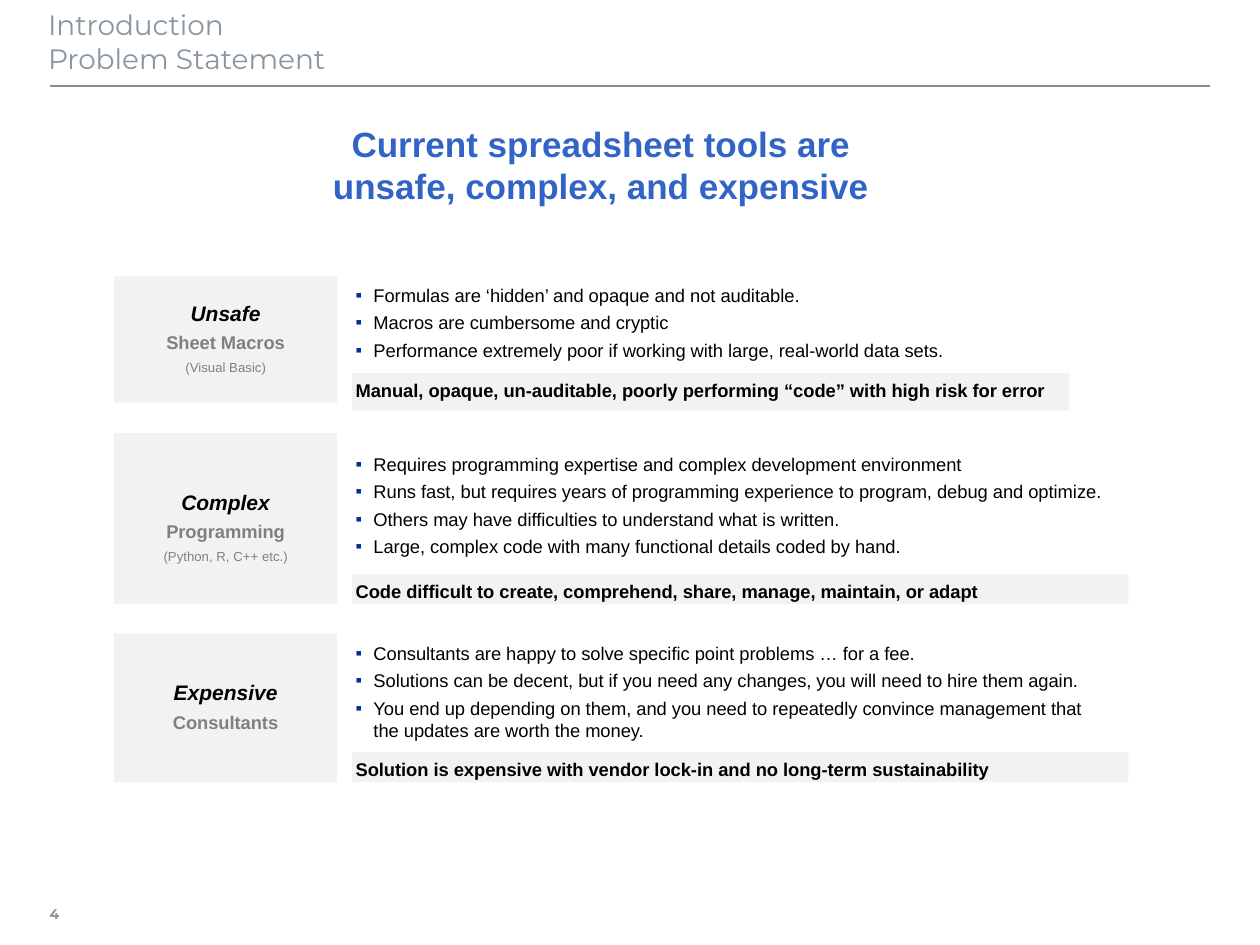
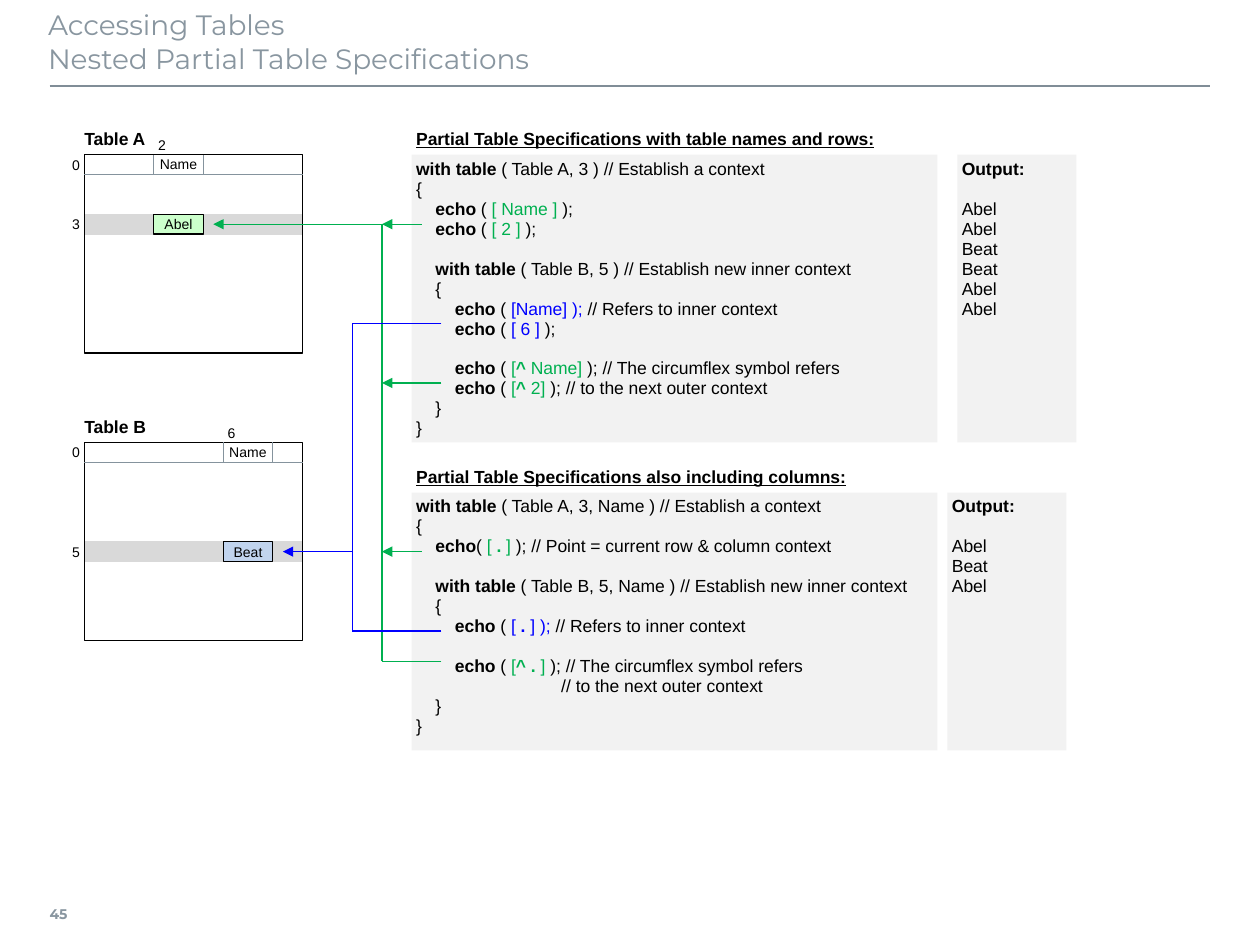
from pptx import Presentation
from pptx.dml.color import RGBColor
from pptx.enum.shapes import MSO_CONNECTOR, MSO_SHAPE
from pptx.enum.text import MSO_ANCHOR, PP_ALIGN
from pptx.oxml.ns import qn
from pptx.util import Emu, Pt
from lxml import etree

RECT, LINE = MSO_SHAPE.RECTANGLE, MSO_CONNECTOR.STRAIGHT
TOP, MID = MSO_ANCHOR.TOP, MSO_ANCHOR.MIDDLE
LEFT, MIDST, RIGHT = PP_ALIGN.LEFT, PP_ALIGN.CENTER, PP_ALIGN.RIGHT
SCALE = 3600
HUES = {
    "black": "000000", "gray": "808080", "title": "8996A0", "rule": "808D97",
    "grid": "85939D", "pale": "F2F2F2", "band": "D9D9D9", "head": "3264C8",
    "mark": "003399", "green": "00B050", "blue": "0000FF",
    "mint": "CCFFCC", "sky": "C1D4EE",
}
TINTS = {"~": "green", "@": "blue"}


def px(num):
    return Emu(num * SCALE)


def hue(name):
    return RGBColor.from_string(HUES[name])


def put(item, vals):
    for key, val in vals.items():
        setattr(item, key, val)


def split(text):
    bold, tint, part = False, None, ""
    for char in text:
        if char != "*" and char not in TINTS:
            part += char
            continue
        if part:
            yield part, bold, tint
        part = ""
        if char == "*":
            bold = not bold
        else:
            tint = None if tint else TINTS[char]
    if part:
        yield part, bold, tint


class Deck:
    def __init__(self):
        self.show = Presentation()
        put(self.show, {"slide_width": px(2540), "slide_height": px(1905)})
        self.slide = None

    def page(self, num, *title):
        self.slide = self.show.slides.add_slide(self.show.slide_layouts[6])
        self.line((100, 173), (2440, 173), "rule", 1)
        self.box((100, 1793, 90, 100), [f"*{num}*"], pad=(0, 13, 20, 13),
                 anchor=MID, size=8, tint="title", face="Montserrat")
        self.box((97, 3, 2340, 160), title, pad=(0, 13, 25, 13),
                 size=16, tint="title", face="Montserrat")

    def line(self, start, end, tint, width=0.75, arrow=False):
        link = self.slide.shapes.add_connector(LINE, *map(px, start + end))
        link.line.color.rgb = hue(tint)
        link.line.width = Pt(width)
        if arrow:
            etree.SubElement(link.line._get_or_add_ln(), qn("a:tailEnd"), type="triangle")
        etree.SubElement(link._element.spPr, qn("a:effectLst"))

    def rect(self, at, fill=None, edge=None):
        shape = self.slide.shapes.add_shape(RECT, *map(px, at))
        shape.shadow.inherit = False
        if fill:
            shape.fill.solid()
            shape.fill.fore_color.rgb = hue(fill)
        else:
            shape.fill.background()
        if edge:
            shape.line.color.rgb = hue(edge)
            shape.line.width = Pt(0.75)
        else:
            shape.line.fill.background()
        return shape

    def box(self, at, rows, fill=None, edge=None, pad=(9, 9, 9, 9), anchor=TOP,
            align=LEFT, size=10, tint="black", face="Arial", lead=1.0, gap=0,
            skip=11.4, dot=False):
        if fill:
            shape = self.rect(at, fill, edge)
        else:
            shape = self.slide.shapes.add_textbox(*map(px, at))
        frame = shape.text_frame
        sides = ("margin_left", "margin_top", "margin_right", "margin_bottom")
        put(frame, dict(zip(sides, map(px, pad))))
        put(frame, {"word_wrap": True, "vertical_anchor": anchor})
        first, extra = True, 0
        for row in rows:
            text, look = (row, {}) if isinstance(row, str) else row
            if not text:
                extra += skip
                continue
            para = frame.paragraphs[0] if first else frame.add_paragraph()
            if dot:
                self.bullet(para)
            put(para, {"alignment": align, "line_spacing": lead,
                       "space_before": Pt(0 if first else gap + extra),
                       "space_after": Pt(gap)})
            first, extra = False, 0
            base = {"name": face, "size": Pt(size)}
            for part, bold, color in split(text):
                run = para.add_run()
                run.text = part
                put(run.font, {**base, "bold": bold,
                               **{k: v for k, v in look.items() if k != "tint"}})
                run.font.color.rgb = hue(color or look.get("tint", tint))

    def bullet(self, para):
        props = para._p.get_or_add_pPr()
        props.set("marL", str(px(36)))
        props.set("indent", str(-px(36)))
        color = etree.SubElement(props, qn("a:buClr"))
        etree.SubElement(color, qn("a:srgbClr"), val=HUES["mark"])
        etree.SubElement(props, qn("a:buFont"), typeface="Arial")
        etree.SubElement(props, qn("a:buChar"), char="▪")

    def issue(self, card, points, note):
        top, high, lift, rows = card
        self.box((230, top, 450, high), rows, "pale", pad=(7, lift, 7, 7),
                 anchor=MID, align=MIDST, size=10.5, lead=0.9, gap=2.2)
        y, wide, tall, text = note
        self.box((710, y, wide, tall), [f"*{text}*"], "pale",
                 pad=(7, 12, 7, 7), size=10.5)
        y, wide, tall, rows = points
        self.box((710, y, wide, tall), rows, pad=(7, 12, 7, 7),
                 size=10.5, gap=1.5, dot=True)

    def grid(self, name, top, row, col, text, fill):
        x, wide, step = 170, 440, 40
        y, left = top + row * step, x + col
        self.rect((x, y, wide, step), "band", "band")
        self.rect((x, top, wide, 10 * step), edge="black")
        self.line((x, top + step), (x + wide, top + step), "grid")
        for edge in (left, left + 100):
            self.line((edge, top), (edge, top + step), "grid")
        tiny = {"anchor": MID, "size": 8}
        self.box((left, top, 100, step), ["Name"], pad=(0, 0, 0, 0),
                 align=MIDST, lead=0.95, **tiny)
        self.box((left, y, 100, step), [text], fill, "black", align=MIDST, **tiny)
        for mark, place in ((row, y), (0, top)):
            self.box((x - 60, place, 60, step), [str(mark)], align=RIGHT, **tiny)
        self.box((x, top - 60, 300, 60), [f"*{name}*"], pad=(0, 0, 0, 0),
                 anchor=MID, lead=0.9)

    def index(self, at, num):
        self.box((*at, 60, 40), [str(num)], anchor=MID, size=8)

    def code(self, top, high, title, rows, left, out):
        self.box((830, top - 60, 1060, 60), [(f"*{title}*", {"underline": True})],
                 anchor=MID, lead=0.9)
        self.box((830, top, 1060, high), rows, "pale", lead=0.95)
        self.box((left, top, 240, high), ["*Output:*", "", *out], "pale", lead=0.95)


def card(name, kind, *small):
    rows = [(f"*{name}*", {"size": Pt(12), "italic": True}),
            (f"*{kind}*", {"tint": "gray"})]
    return rows + [(text, {"size": Pt(7.5), "tint": "gray"}) for text in small]


def issues(deck):
    deck.page(4, "Introduction", "Problem Statement")
    deck.issue(
        (557, 255, 7, card("Unsafe", "Sheet Macros", "(Visual Basic)")),
        (561, 1445, 210, [
            "Formulas are ‘hidden’ and opaque and not auditable.",
            "Macros are cumbersome and cryptic",
            "Performance extremely poor if working with large, real-world data sets."]),
        (752, 1445, 76, "Manual, opaque, un-auditable, poorly performing “code” "
                        "with high risk for error"))
    deck.issue(
        (873, 345, 46, card("Complex", "Programming", "(Python, R, C++ etc.)")),
        (902, 1565, 240, [
            "Requires programming expertise and complex development environment",
            "Runs fast, but requires years of programming experience to program, "
            "debug and optimize.",
            "Others may have difficulties to understand what is written.",
            "Large, complex code with many functional details coded by hand."]),
        (1158, 1565, 60, "Code difficult to create, comprehend, share, manage, "
                         "maintain, or adapt"))
    deck.issue(
        (1277, 300, 7, card("Expensive", "Consultants")),
        (1283, 1530, 210, [
            "Consultants are happy to solve specific point problems … for a fee.",
            "Solutions can be decent, but if you need any changes, you will need "
            "to hire them again.",
            "You end up depending on them, and you need to repeatedly convince "
            "management that the updates are worth the money."]),
        (1517, 1565, 60, "Solution is expensive with vendor lock-in and no "
                         "long-term sustainability"))
    deck.box((551, 234, 1321, 195),
             ["*Current spreadsheet tools are unsafe, complex, and expensive*"],
             pad=(25, 13, 25, 13), align=MIDST, size=20, tint="head")


def tables(deck):
    deck.page(45, "Accessing Tables", "Nested Partial Table Specifications")
    deck.grid("Table A", 312, 3, 140, "Abel", "mint")
    deck.index((310, 272), 2)
    deck.grid("Table B", 892, 5, 280, "Beat", "sky")
    deck.index((450, 852), 6)
    deck.code(312, 580, "Partial Table Specifications with table names and rows:", [
        "*with table *( Table A, 3 ) // Establish a context",
        "{",
        "    *echo* ( ~[ Name ] ~);",
        "    *echo* ( ~[ 2 ] ~);",
        "",
        "    *with table *( Table B, 5 ) // Establish new inner context",
        "    {",
        "        *echo* ( @[Name] );@ // Refers to inner context",
        "        *echo* ( @[ 6 ]@ );",
        "",
        "        *echo* ( ~[*^ *Name] ~); // The circumflex symbol refers",
        "        *echo* ( ~[*^ *2]~ ); // to the next outer context",
        "    }",
        "}"], 1930, ["Abel", "Abel", "Beat", "Beat", "Abel", "Abel"])
    deck.code(993, 520, "Partial Table Specifications also including columns:", [
        "*with table *( Table A, 3, Name ) // Establish a context",
        "{",
        "    *echo*( ~[ *.* ]~ ); // Point = current row & column context",
        "",
        "    *with table *( Table B, 5, Name ) // Establish new inner context",
        "    {",
        "        *echo* ( @[ *.* ] ); @// Refers to inner context",
        "",
        "        *echo* ( ~[*^ . *] ~); // The circumflex symbol refers",
        "                              // to the next outer context",
        "    }",
        "}"], 1910, ["Abel", "Beat", "Abel"])
    for start, end, tint, arrow in (
            ((770, 452), (430, 452), "green", True),
            ((770, 1333), (770, 452), "green", False),
            ((850, 452), (770, 452), "green", True),
            ((890, 772), (770, 772), "green", True),
            ((850, 1112), (770, 1112), "green", True),
            ((890, 1333), (770, 1333), "green", False),
            ((710, 1272), (710, 652), "blue", False),
            ((890, 652), (710, 652), "blue", False),
            ((890, 1272), (710, 1272), "blue", False),
            ((710, 1112), (570, 1112), "blue", True)):
        deck.line(start, end, tint, arrow=arrow)


def main():
    deck = Deck()
    issues(deck)
    tables(deck)
    deck.show.save("out.pptx")


if __name__ == "__main__":
    main()
